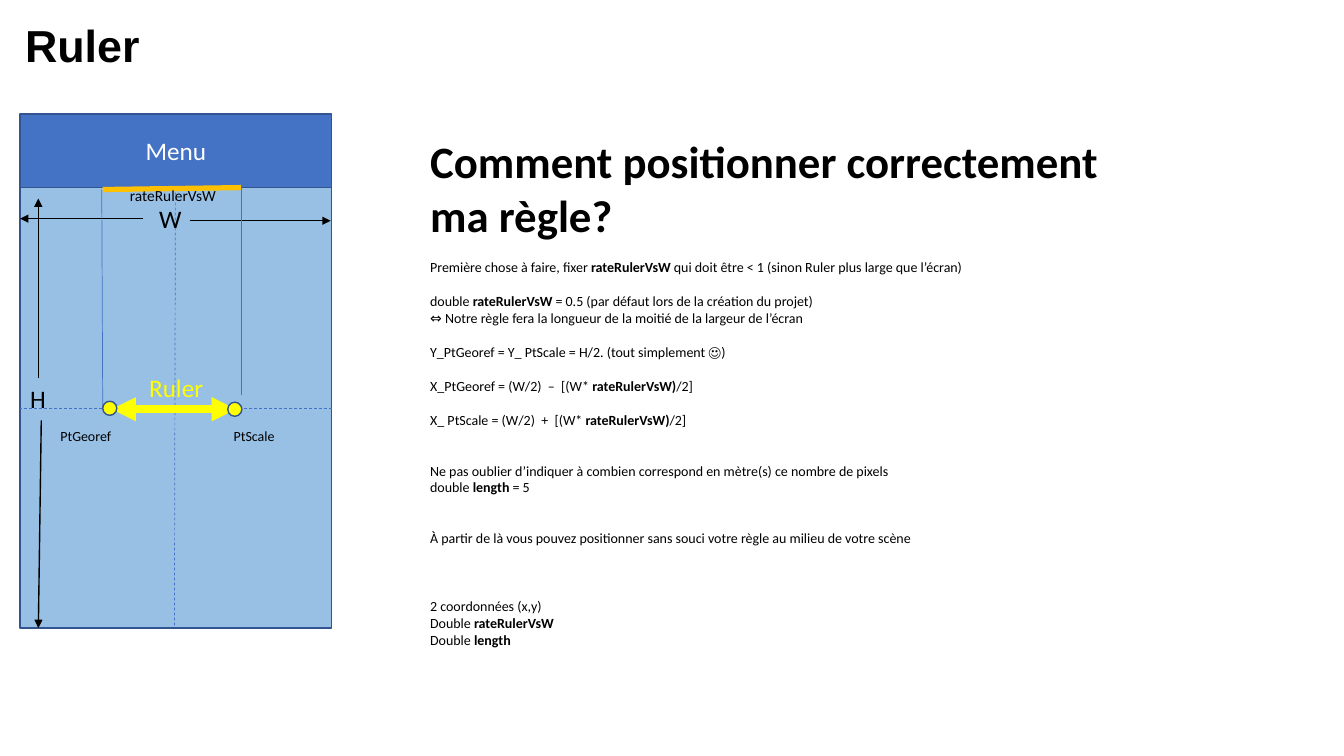
from lxml.etree import SubElement
from pptx import Presentation
from pptx.dml.color import RGBColor
from pptx.enum.dml import MSO_LINE_DASH_STYLE as Dash
from pptx.enum.shapes import MSO_CONNECTOR_TYPE as Connector, MSO_SHAPE as Shape
from pptx.enum.text import MSO_ANCHOR as Anchor, PP_ALIGN as Align
from pptx.oxml.ns import qn
from pptx.util import Pt

COLORS = {
    "black": "000000",
    "white": "FFFFFF",
    "menu": "4472C4",
    "screen": "98C0E5",
    "outline": "325491",
    "guide": "4472C4",
    "ruler": "FFFF00",
    "rate": "FFC000",
}
BODY_SIZE = 10
BLANK_LINE = 12.2

presentation = Presentation()
presentation.slide_width = Pt(960)
presentation.slide_height = Pt(540)
slide = presentation.slides.add_slide(presentation.slide_layouts[6])


def color(name):
    return RGBColor.from_string(COLORS[name])


def format_runs(paragraph, size, color_name="black", bold=(), font="Calibri"):
    """Style every run; bold lists the indexes of the bold ones."""
    for index, run in enumerate(paragraph.runs):
        run.font.name = font
        run.font.size = Pt(size)
        run.font.bold = index in bold
        run.font.color.rgb = color(color_name)


# Screen, menu bar and the two end points of the ruler
shapes = [
    (Shape.RECTANGLE, 14.4, 81.4, 222.5, 52.6, "menu", "Menu"),
    (Shape.RECTANGLE, 14.4, 134, 222.5, 314.6, "screen", ""),
]
end_points = [
    (Shape.OVAL, 162.7, 287.3, 10.1, 10.1, "ruler", ""),
    (Shape.OVAL, 73.4, 286.6, 10.1, 10.1, "ruler", ""),
]

# from x, from y, to x, to y, colour, width, dashed, arrowheads
lines = [
    (27.4, 270, 27.4, 141.8, "black", 1, False, ["tailEnd"]),
    (29.5, 300.2, 27.4, 448.6, "black", 1, False, ["tailEnd"]),
    (102.2, 156.2, 14.4, 156.2, "black", 1, False, ["tailEnd"]),
    (135.4, 157.7, 236.2, 157.7, "black", 1, False, ["tailEnd"]),
    (125.3, 134, 124.6, 447.8, "guide", 0.5, True, []),
    (236.9, 291.6, 14.4, 291.6, "guide", 0.5, True, []),
    (72.7, 135.4, 73.4, 292.3, "guide", 0.5, False, []),
    (172.1, 125.3, 172.1, 282.2, "guide", 0.5, False, []),
    (73.4, 135.4, 172.1, 134, "rate", 3.75, False, []),
    (79.9, 292.3, 168.5, 292.3, "ruler", 5.75, False, ["headEnd", "tailEnd"]),
]

# left, top, width, height, text, size, colour, font, bold runs
labels = [
    (106.6, 141.8, 46.1, 29, "W", 18, "black", "Calibri", ()),
    (14.4, 270, 46.1, 29, "H", 18, "black", "Calibri", ()),
    (10.8, 9.4, 124.6, 46.1, "Ruler", 32, "black", "Arial", (0,)),
    (99.4, 262.1, 72.7, 29, "Ruler", 18, "ruler", "Calibri", ()),
    (36, 301.7, 61.2, 19.4, "PtGeoref", 10, "black", "Calibri", ()),
    (159.8, 301.7, 61.2, 19.4, "PtScale", 10, "black", "Calibri", ()),
    (85.7, 129.6, 82.1, 20.9, "rateRulerVsW", 11, "black", "Calibri", ()),
]

# blank lines before, run texts (every second run is bold)
explanation = [
    (1, ["Première chose à faire, fixer ", "rateRulerVsW",
         " qui doit être < 1 (sinon Ruler plus large que l’écran)"]),
    (1, ["double ", "rateRulerVsW ", "= 0.5 (par défaut lors de la création du projet)"]),
    (0, ["⇔ Notre règle fera la longueur de la moitié de la largeur de l’écran"]),
    (1, ["Y_PtGeoref = Y_ PtScale = H/2. (tout simplement ☺)"]),
    (1, ["X_PtGeoref = (W/2)  –  [(W* ", "rateRulerVsW)", "/2]"]),
    (1, ["X_ PtScale = (W/2)  +  [(W* ", "rateRulerVsW)", "/2]"]),
    (2, ["Ne pas oublier d’indiquer à combien correspond en mètre(s) ce nombre de pixels"]),
    (0, ["double ", "length", " = 5"]),
    (2, ["À partir de là vous pouvez positionner sans souci votre règle au milieu de votre scène"]),
    (3, ["2 coordonnées (x,y)"]),
    (0, ["Double ", "rateRulerVsW"]),
    (0, ["Double ", "length"]),
]


def add_shapes(items):
    for kind, left, top, width, height, fill, text in items:
        shape = slide.shapes.add_shape(kind, Pt(left), Pt(top), Pt(width), Pt(height))
        shape.shadow.inherit = False
        shape.fill.solid()
        shape.fill.fore_color.rgb = color(fill)
        shape.line.color.rgb = color("outline")
        shape.line.width = Pt(1)
        if text:
            shape.text_frame.text = text
            shape.text_frame.vertical_anchor = Anchor.MIDDLE
            paragraph = shape.text_frame.paragraphs[0]
            paragraph.alignment = Align.CENTER
            format_runs(paragraph, 18, "white")


add_shapes(shapes)

for x1, y1, x2, y2, line_color, width, dashed, arrowheads in lines:
    connector = slide.shapes.add_connector(
        Connector.STRAIGHT, Pt(x1), Pt(y1), Pt(x2), Pt(y2))
    connector.line.color.rgb = color(line_color)
    connector.line.width = Pt(width)
    if dashed:
        connector.line.dash_style = Dash.DASH
    properties = connector._element.spPr
    for end in arrowheads:
        SubElement(properties.find(qn("a:ln")), qn(f"a:{end}"), type="triangle")
    SubElement(properties, qn("a:effectLst"))

add_shapes(end_points)

for left, top, width, height, text, size, text_color, font, bold in labels:
    label = slide.shapes.add_textbox(Pt(left), Pt(top), Pt(width), Pt(height))
    label.text_frame.word_wrap = True
    label.text_frame.text = text
    format_runs(label.text_frame.paragraphs[0], size, text_color, bold, font)

# Explanation on the right
text_frame = slide.shapes.add_textbox(Pt(300.2), Pt(92.2), Pt(506.2), Pt(436.3)).text_frame
text_frame.word_wrap = True
text_frame.text = "Comment positionner correctement ma règle?"
format_runs(text_frame.paragraphs[0], 32, bold=(0,))
for blank_lines, texts in explanation:
    paragraph = text_frame.add_paragraph()
    paragraph.space_before = Pt(blank_lines * BLANK_LINE)
    for text in texts:
        paragraph.add_run().text = text
    format_runs(paragraph, BODY_SIZE, bold=(1,))

presentation.save("out.pptx")
